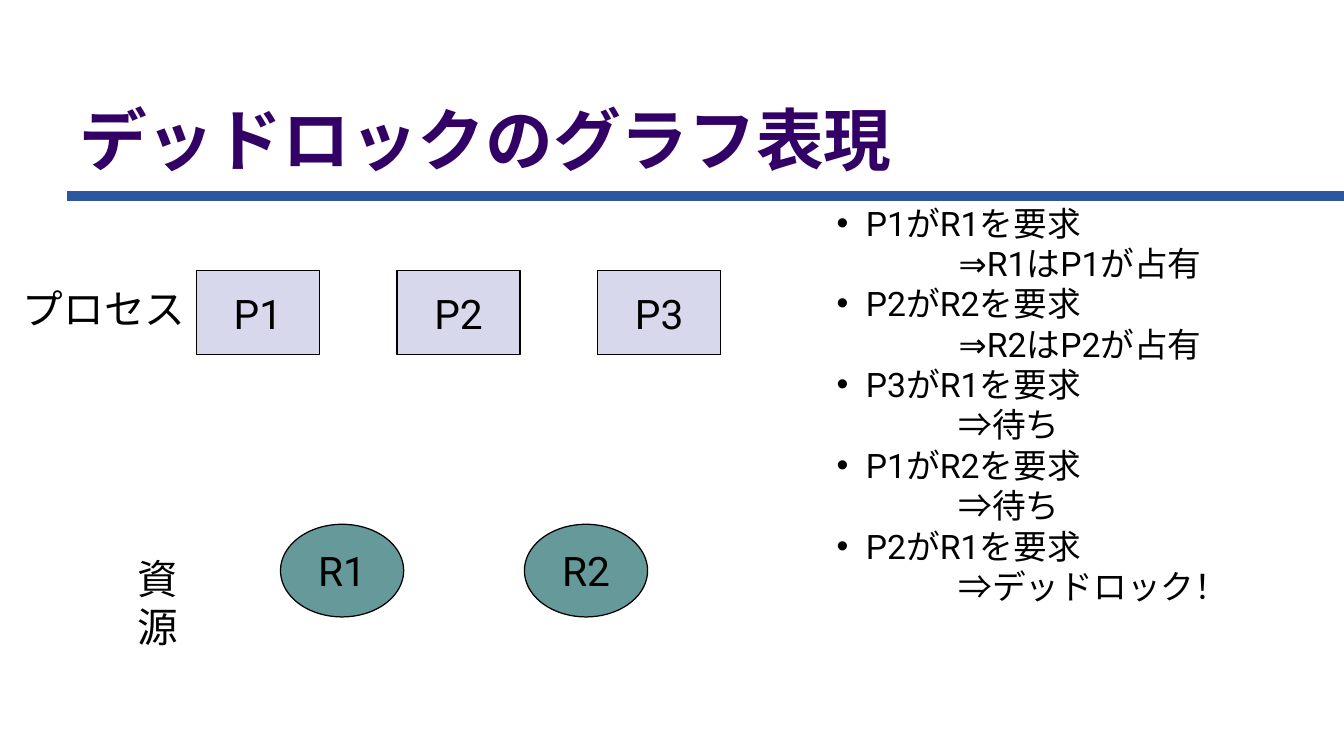
from lxml.etree import SubElement
from pptx import Presentation
from pptx.dml.color import RGBColor
from pptx.enum.shapes import MSO_CONNECTOR, MSO_SHAPE
from pptx.enum.text import MSO_ANCHOR, MSO_AUTO_SIZE, PP_ALIGN
from pptx.oxml.ns import qn
from pptx.util import Inches, Pt

COLORS = {
    "title": "330066",
    "rule": "2D56A0",
    "process": "D8D8EC",
    "resource": "669999",
    "ink": "000000",
}
JAPANESE = "Noto Sans CJK JP"
LATIN = "Roboto"


def add_text(para, text, size, font=LATIN, color="ink", bold=False):
    span = para.add_run()
    span.text = text
    formats = {"size": Pt(size), "name": font, "bold": bold}
    for name, value in formats.items():
        setattr(span.font, name, value)
    span.font.color.rgb = RGBColor.from_string(COLORS[color])
    SubElement(span.font._element, qn("a:ea"), typeface=JAPANESE)


def place(box, left, top, width, height):
    bounds = {"left": left, "top": top, "width": width, "height": height}
    for name, value in bounds.items():
        setattr(box, name, Inches(value))


deck = Presentation()
deck.slide_width = Inches(11.02)
deck.slide_height = Inches(6.2)
page = deck.slides.add_slide(deck.slide_layouts[1])

rule = page.shapes.add_connector(
    MSO_CONNECTOR.STRAIGHT, Inches(0.55), Inches(1.61), Inches(11.02), Inches(1.61)
)
rule.line.color.rgb = RGBColor.from_string(COLORS["rule"])
rule.line.width = Pt(5.67)
SubElement(rule._element.spPr, qn("a:effectLst"))

title = page.shapes.title
place(title, 0.55, 0.35, 9.92, 1.17)
title.text_frame.vertical_anchor = MSO_ANCHOR.BOTTOM
title.text_frame.auto_size = MSO_AUTO_SIZE.NONE
title.text_frame.paragraphs[0].alignment = PP_ALIGN.LEFT
add_text(title.text_frame.paragraphs[0], "デッドロックのグラフ表現", 40, JAPANESE, "title", True)

node_rows = [
    ("P", 3, MSO_SHAPE.RECTANGLE, "process", 1.61, 1.645, 2.22, 0.69),
    ("R", 2, MSO_SHAPE.OVAL, "resource", 2.3, 2, 4.3, 0.76),
]
for letter, count, kind, color, left, step, top, height in node_rows:
    for index in range(count):
        node = page.shapes.add_shape(
            kind, Inches(left + index * step), Inches(top), Inches(1.01), Inches(height)
        )
        node.shadow.inherit = False
        node.fill.solid()
        node.fill.fore_color.rgb = RGBColor.from_string(COLORS[color])
        node.line.color.rgb = RGBColor.from_string(COLORS["ink"])
        node.line.width = Pt(0.75)
        node.text_frame.word_wrap = False
        node.text_frame.vertical_anchor = MSO_ANCHOR.MIDDLE
        para = node.text_frame.paragraphs[0]
        para.alignment = PP_ALIGN.CENTER
        add_text(para, f"{letter}{index + 1}", 24)

for text, left, top, width in [("プロセス", 0.09, 2.28, 1.53), ("資源", 1.03, 4.49, 0.86)]:
    label = page.shapes.add_textbox(Inches(left), Inches(top), Inches(width), Inches(0.5))
    label.text_frame.word_wrap = False
    para = label.text_frame.paragraphs[0]
    para.line_spacing = Pt(28.8)
    add_text(para, text, 24)

steps = [
    ("P1がR1を要求", "⇒R1はP1が占有"),
    ("P2がR2を要求", "⇒R2はP2が占有"),
    ("P3がR1を要求", "⇒待ち"),
    ("P1がR2を要求", "⇒待ち"),
    ("P2がR1を要求", "⇒デッドロック！"),
]
body = page.placeholders[1]
place(body, 6.76, 1.61, 3.86, 4.1)
frame = body.text_frame
frame.word_wrap = True
frame.auto_size = MSO_AUTO_SIZE.NONE
frame.vertical_anchor = MSO_ANCHOR.TOP
for index, (request, result) in enumerate(steps):
    for text, indent, hanging in [(request, 0.24, -0.24), (result, 1, 0)]:
        first = index == 0 and text == request
        para = frame.paragraphs[0] if first else frame.add_paragraph()
        para.line_spacing = Pt(23.85)
        para.space_before = Pt(0)
        properties = para._p.get_or_add_pPr()
        properties.set("marL", str(Inches(indent)))
        properties.set("indent", str(Inches(hanging)))
        if hanging:
            bullet_color = SubElement(properties, qn("a:buClr"))
            SubElement(bullet_color, qn("a:srgbClr"), val=COLORS["ink"])
            SubElement(properties, qn("a:buChar"), char="•")
        else:
            SubElement(properties, qn("a:buNone"))
        add_text(para, text, 19.9)

deck.save("out.pptx")
